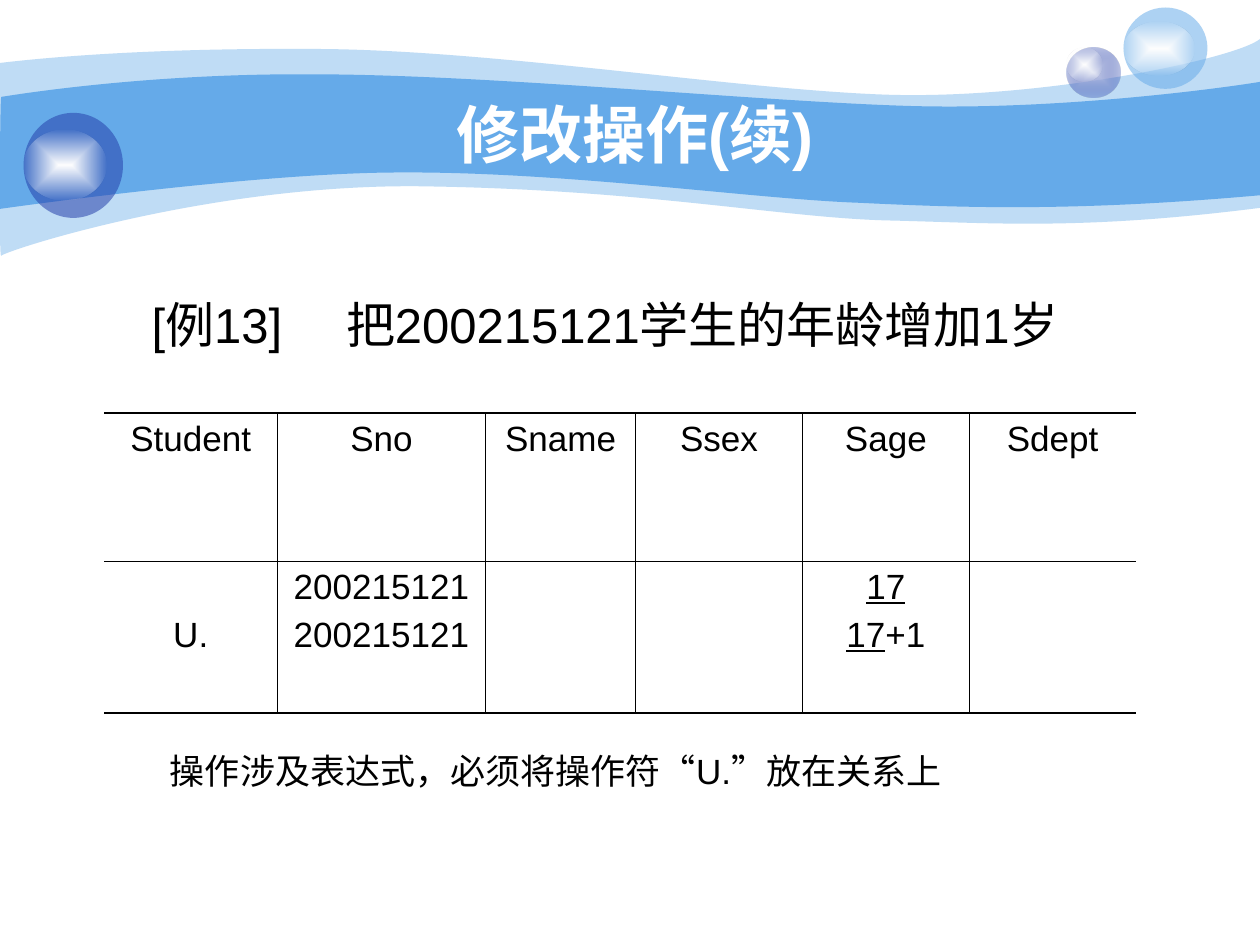
from dataclasses import dataclass
from typing import NamedTuple, Optional

from pptx import Presentation
from pptx.dml.color import RGBColor
from pptx.enum.lang import MSO_LANGUAGE_ID as Lang
from pptx.enum.shapes import MSO_SHAPE as Shape
from pptx.enum.text import MSO_ANCHOR as Anchor, PP_ALIGN as Align
from pptx.oxml import parse_xml
from pptx.oxml.ns import nsdecls, qn
from pptx.util import Pt


@dataclass(frozen=True)
class Theme:
    font: str = "Arial"
    sky: str = "65AAE9"
    navy: str = "233DA9"
    lilac: str = "C7CEE9"
    white: str = "FFFFFF"
    black: str = "000000"
    title_size: float = 36
    example_size: float = 28
    body_size: float = 20
    outer_rule: float = 1.08
    inner_rule: float = 0.45


THEME = Theme()


class Tint(NamedTuple):
    color: str
    alpha: int = 100


class Rect(NamedTuple):
    left: float
    top: float
    width: float
    height: float


class Band(NamedTuple):
    """Two wavy edges, each a chain of cubic curves: start, then control, control, end."""
    upper: list
    lower: list
    tint: Tint


class Bubble(NamedTuple):
    ball: Rect
    shine: Rect
    center: Optional[Tint]
    edge: Tint


class Span(NamedTuple):
    text: str
    underline: bool = False


BANDS = [
    Band([(0, 36), (17, 34), (77, 27.4), (178, 28), (278, 28), (414, 50.4), (503, 54),
          (592, 57.6), (706, 33.8), (720, 22.3)],
         [(720, 118.8), (618, 131.8), (567, 127.4), (507.6, 126), (448, 124.6),
          (371, 108.7), (247, 106.6), (124, 103.7), (2.9, 143.3), (0.7, 146.2),
          (-0.7, 149.8), (0, 54), (0, 36)],
         Tint(THEME.sky, 41)),
    Band([(0.7, 55.4), (1.4, 55.4), (79, 41.8), (178.6, 42.5), (278, 42.5), (428, 57.6),
          (517, 60.5), (605.5, 63.4), (703, 49.7), (720, 46.8)],
         [(720, 111.6), (614, 121), (551, 118.8), (491, 115.9), (431, 113.8),
          (322, 97.9), (228, 98.6), (146, 98.6), (-1.4, 119.5), (-0.7, 119.5),
          (0, 119.5), (0, 55.4), (0.7, 55.4)],
         Tint(THEME.sky)),
]

BUBBLES = [
    Bubble(Rect(609.5, 27, 31, 29), Rect(609.5, 27.4, 20.2, 19.4),
           Tint(THEME.lilac), Tint(THEME.navy, 31)),
    Bubble(Rect(642, 4.3, 48, 46.5), Rect(642, 12.2, 40.3, 31), None, Tint(THEME.sky, 53)),
    Bubble(Rect(13.5, 64.5, 56.8, 60), Rect(13.5, 74.2, 47.5, 40.3), None,
           Tint(THEME.navy, 53)),
]

TITLE_BOX = Rect(72, 54, 582, 44.6)
TITLE = "修改操作(续)"
BODY_BOX = Rect(36, 144, 647, 354)
BODY_LEFT, BODY_TOP = 50.7, 24.4
EXAMPLE, EXAMPLE_TAB = "[例13]\t把200215121学生的年龄增加1岁", 111
REMARK = "操作涉及表达式，必须将操作符“U.”放在关系上"
REMARK_INDENT, REMARK_GAP = 10.4, 226.5

TABLE_LEFT, TABLE_TOP = 59.5, 236
COLUMN_WIDTHS = [99, 119, 85.7, 95.4, 95.4, 95.2]
ROW_HEIGHTS = [84.9, 86.4]
HEADINGS = ["Student", "Sno", "Sname", "Ssex", "Sage", "Sdept"]
CELLS = [
    [[[Span(heading)]] for heading in HEADINGS],
    [[[Span("U.")]], [[Span("200215121")], [Span("200215121")]], [], [],
     [[Span("17", True)], [Span("17", True), Span("+1")]], []],
]
CELL_INSET, LINE_STEP, LINE_GAP = 3.6, 27.5, 5


def color_xml(tint: Tint) -> str:
    return f'<a:srgbClr val="{tint.color}"><a:alpha val="{tint.alpha * 1000}"/></a:srgbClr>'


def paint(shape, edge: Tint, center: Optional[Tint] = None) -> None:
    """Fill evenly, or from the center outwards when a center tint is given."""
    if center is None:
        fill = f'<a:solidFill {nsdecls("a")}>{color_xml(edge)}</a:solidFill>'
    else:
        fill = (f'<a:gradFill {nsdecls("a")}><a:gsLst>'
                f'<a:gs pos="0">{color_xml(center)}</a:gs>'
                f'<a:gs pos="100000">{color_xml(edge)}</a:gs></a:gsLst><a:path path="rect">'
                '<a:fillToRect l="50000" t="50000" r="50000" b="50000"/></a:path></a:gradFill>')
    shape.element.spPr.insert(2, parse_xml(fill))
    shape.line.fill.background()
    shape.shadow.inherit = False


def bend(lines: list) -> None:
    """Turn each three straight segments into one cubic curve."""
    for first in range(0, len(lines), 3):
        curve = parse_xml(f'<a:cubicBezTo {nsdecls("a")}/>')
        lines[first].addprevious(curve)
        for line in lines[first:first + 3]:
            curve.append(line[0])
            line.getparent().remove(line)


def draw_band(page, band: Band) -> None:
    start, *rest = [(Pt(x), Pt(y)) for x, y in band.upper + band.lower]
    builder = page.shapes.build_freeform(*start)
    builder.add_line_segments(rest, close=True)
    shape = builder.convert_to_shape()
    lines = list(shape.element.spPr.iter(qn("a:lnTo")))[:len(rest)]
    corner = len(band.upper) - 1
    bend(lines[:corner])
    bend(lines[corner + 1:])
    paint(shape, band.tint)


def draw_bubble(page, bubble: Bubble) -> None:
    shapes = page.shapes.add_group_shape().shapes
    paint(shapes.add_shape(Shape.OVAL, *map(Pt, bubble.ball)), bubble.edge, bubble.center)
    paint(shapes.add_shape(Shape.OVAL, *map(Pt, bubble.shine)),
          Tint(THEME.white, 0), Tint(THEME.white))


def add_span(para, text: str, size: float, color: str = THEME.black,
             bold: bool = False, underline: bool = False) -> None:
    span = para.add_run()
    span.text = text
    font = span.font
    font.name, font.size, font.bold, font.underline = THEME.font, Pt(size), bold, underline
    font.color.rgb = RGBColor.from_string(color)
    font.language_id = Lang.SIMPLIFIED_CHINESE


def add_frame(page, rect: Rect, anchor: Anchor):
    frame = page.shapes.add_textbox(*map(Pt, rect)).text_frame
    frame.word_wrap = True
    frame.vertical_anchor = anchor
    return frame


def draw_title(page) -> None:
    para = add_frame(page, TITLE_BOX, Anchor.MIDDLE).paragraphs[0]
    para.alignment = Align.CENTER
    add_span(para, TITLE, THEME.title_size, THEME.white, bold=True)


def draw_body(page) -> None:
    frame = add_frame(page, BODY_BOX, Anchor.TOP)
    frame.margin_left, frame.margin_top = Pt(BODY_LEFT), Pt(BODY_TOP)
    example = frame.paragraphs[0]
    example._p.get_or_add_pPr().append(parse_xml(
        f'<a:tabLst {nsdecls("a")}><a:tab pos="{Pt(EXAMPLE_TAB)}" algn="l"/></a:tabLst>'))
    add_span(example, EXAMPLE, THEME.example_size)
    remark = frame.add_paragraph()
    remark._p.get_or_add_pPr().set("marL", str(Pt(REMARK_INDENT)))
    remark.space_before = Pt(REMARK_GAP)
    add_span(remark, REMARK, THEME.body_size)


def rule_cell(cell, widths: dict) -> None:
    """Set the border of each side; a width of zero means no line."""
    properties = cell._tc.get_or_add_tcPr()
    for place, (side, width) in enumerate(widths.items()):
        fill = (f'<a:solidFill>{color_xml(Tint(THEME.black))}</a:solidFill>'
                if width else '<a:noFill/>')
        properties.insert(place, parse_xml(
            f'<a:ln{side} {nsdecls("a")} w="{Pt(width)}">{fill}</a:ln{side}>'))


def draw_table(page) -> None:
    last_row, last_column = len(ROW_HEIGHTS) - 1, len(COLUMN_WIDTHS) - 1
    table = page.shapes.add_table(
        len(ROW_HEIGHTS), len(COLUMN_WIDTHS), Pt(TABLE_LEFT), Pt(TABLE_TOP),
        Pt(sum(COLUMN_WIDTHS)), Pt(sum(ROW_HEIGHTS))).table
    table.first_row = table.horz_banding = False
    for column, width in zip(table.columns, COLUMN_WIDTHS):
        column.width = Pt(width)
    for row, height in zip(table.rows, ROW_HEIGHTS):
        row.height = Pt(height)
    for r, row in enumerate(CELLS):
        for c, lines in enumerate(row):
            cell = table.cell(r, c)
            cell.fill.background()
            cell.margin_top = cell.margin_bottom = Pt(CELL_INSET)
            rule_cell(cell, {
                "L": THEME.inner_rule if c else 0,
                "R": THEME.inner_rule if c < last_column else 0,
                "T": THEME.inner_rule if r else THEME.outer_rule,
                "B": THEME.inner_rule if r < last_row else THEME.outer_rule})
            for number, spans in enumerate(lines):
                frame = cell.text_frame
                para = frame.add_paragraph() if number else frame.paragraphs[0]
                para.alignment = Align.CENTER
                para.space_before = Pt(LINE_GAP if number else 0)
                for span in spans:
                    add_span(para, span.text, THEME.body_size, underline=span.underline)
    table.cell(1, 0).margin_top = Pt(CELL_INSET + LINE_STEP)


def main() -> None:
    deck = Presentation()
    deck.slide_width, deck.slide_height = Pt(720), Pt(540)
    page = deck.slides.add_slide(deck.slide_layouts[6])
    for band in BANDS:
        draw_band(page, band)
    for bubble in BUBBLES:
        draw_bubble(page, bubble)
    draw_title(page)
    draw_body(page)
    draw_table(page)
    deck.save("out.pptx")


if __name__ == "__main__":
    main()
